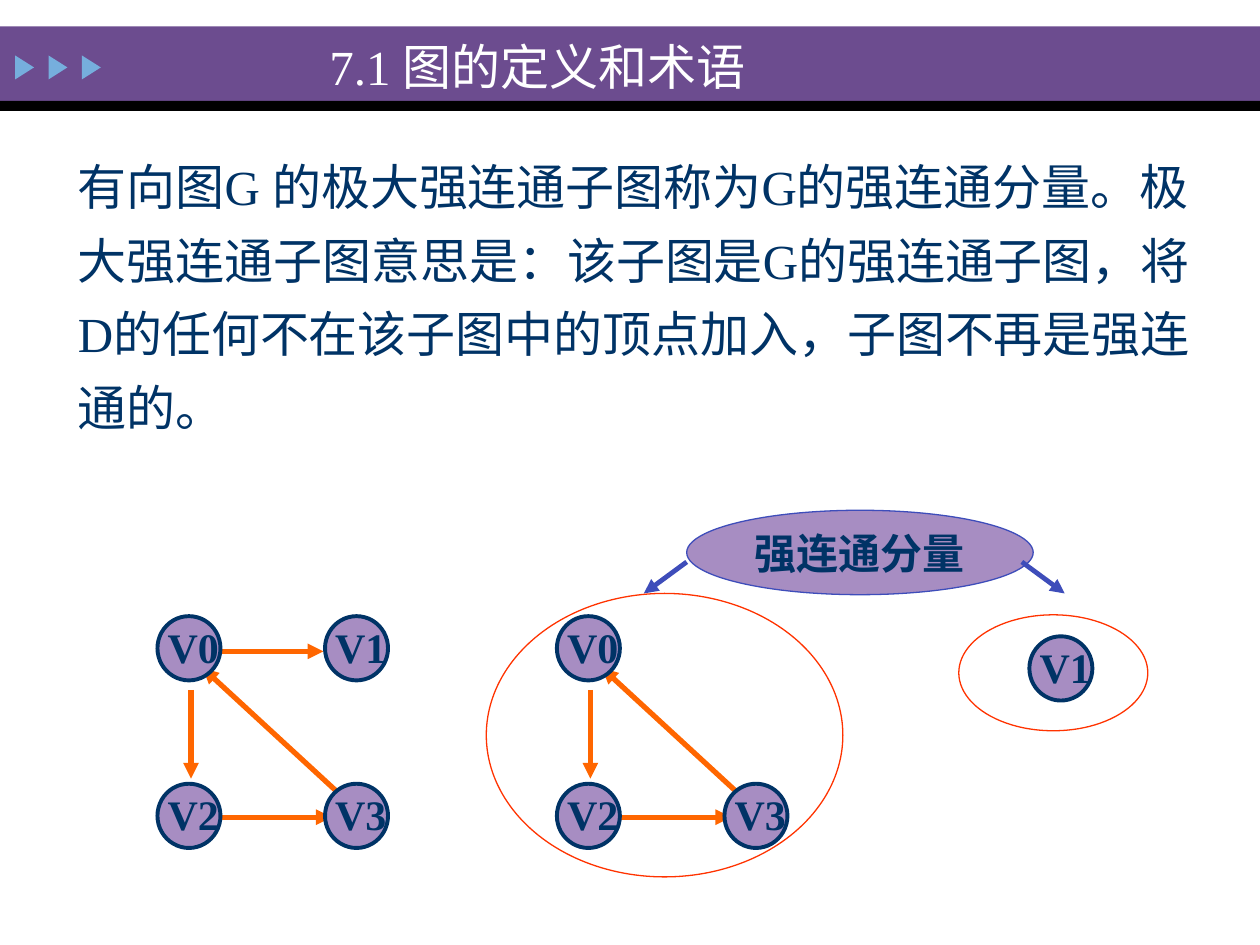
"""Builds a slide on strongly connected components of a directed graph."""
from dataclasses import dataclass
from typing import NamedTuple, Optional

from lxml import etree
from pptx import Presentation
from pptx import util as u
from pptx.dml.color import RGBColor
from pptx.enum import shapes, text
from pptx.oxml.ns import qn


@dataclass(frozen=True)
class Theme:
    font: str = "Times New Roman"
    band: str = "6C4C8F"
    rule: str = "000000"
    marker: str = "76AEDD"
    ink: str = "003366"
    paper: str = "FFFFFF"
    lilac: str = "A78DC2"
    pointer: str = "3E4DBA"
    edge: str = "FF6600"
    ring: str = "FF3300"
    large: int = 28
    label: int = 24


class Box(NamedTuple):
    col: float
    row: float
    cols: float
    rows: float


class Edge(NamedTuple):
    x1: float
    y1: float
    x2: float
    y2: float


class Stroke(NamedTuple):
    color: str
    width: float


@dataclass(frozen=True)
class Graph:
    col: float
    row: float
    nodes: tuple
    edges: tuple = ()
    ring: Optional[Box] = None


T = Theme()
COLS, ROWS, PITCH = 100, 75, 13.3
NODES = {"V0": (0, 0), "V1": (1, 0), "V2": (0, 1), "V3": (1, 1)}
EDGES = {
    "V0V2": Edge(0.2, 0.44, 0.2, 0.97),
    "V2V3": Edge(0.38, 1.2, 1.04, 1.2),
    "V0V1": Edge(0.38, 0.21, 0.99, 0.21),
    "V3V0": Edge(1.15, 1.12, 0.27, 0.31),
}
GRAPHS = (
    Graph(12.5, 48.9, tuple(NODES), tuple(EDGES)),
    Graph(44.2, 48.9, ("V0", "V2", "V3"), ("V0V2", "V2V3", "V3V0"),
          Box(38.6, 47.1, 28.3, 22.5)),
    Graph(81.7 - PITCH, 50.5, ("V1",), ring=Box(76.1, 48.8, 15, 9.2)),
)
BODY = ("有向图G 的极大强连通子图称为G的强连通分量。"
        "极大强连通子图意思是：该子图是G的强连通子图，"
        "将D的任何不在该子图中的顶点加入，子图不再是强连通的。")

prs = Presentation()
prs.slide_width, prs.slide_height = u.Inches(10), u.Inches(7.5)
s = prs.slides.add_slide(prs.slide_layouts[6])


def x(cols: float) -> int:
    return round(prs.slide_width * cols / COLS)


def y(rows: float) -> int:
    return round(prs.slide_height * rows / ROWS)


def place(box: Box) -> tuple:
    return x(box.col), y(box.row), x(box.cols), y(box.rows)


def set_line(line, stroke: Stroke) -> None:
    line.color.rgb = RGBColor.from_string(stroke.color)
    line.width = u.Pt(stroke.width)


def draw_shape(kind, box: Box, fill: Optional[str] = None,
               stroke: Optional[Stroke] = None):
    sp = s.shapes.add_shape(kind, *place(box))
    sp.shadow.inherit = False
    if fill:
        sp.fill.solid()
        sp.fill.fore_color.rgb = RGBColor.from_string(fill)
    else:
        sp.fill.background()
    if stroke:
        set_line(sp.line, stroke)
    else:
        sp.line.fill.background()
    return sp


def draw_arrow(edge: Edge, stroke: Stroke) -> None:
    c = s.shapes.add_connector(shapes.MSO_CONNECTOR.STRAIGHT, x(edge.x1),
                               y(edge.y1), x(edge.x2), y(edge.y2))
    set_line(c.line, stroke)
    etree.SubElement(c.line._get_or_add_ln(), qn("a:tailEnd"), type="triangle")
    etree.SubElement(c._element.spPr, qn("a:effectLst"))


def write(sp, words: str, size: int, color: str = T.ink, bold: bool = False,
          frame: Optional[dict] = None, para: Optional[dict] = None) -> None:
    tf = sp.text_frame
    p = tf.paragraphs[0]
    r = p.add_run()
    r.text = words
    r.font.color.rgb = RGBColor.from_string(color)
    formats = (
        (tf, {"word_wrap": True, **(frame or {})}),
        (p, para or {}),
        (r.font, {"name": T.font, "size": u.Pt(size), "bold": bold}),
    )
    for target, values in formats:
        for name, value in values.items():
            setattr(target, name, value)


def draw_node(name: str, col: float, row: float) -> None:
    draw_shape(shapes.MSO_SHAPE.OVAL, Box(col, row, 5, 5.1), T.lilac,
               Stroke(T.ink, 2.25))
    sp = s.shapes.add_textbox(*place(Box(col - 0.5, row - 0.1, 7.1, 5)))
    write(sp, name, T.label, bold=True, frame={"margin_left": u.Inches(0.13)})


def draw_graph(g: Graph) -> None:
    for key in g.edges:
        e = EDGES[key]
        draw_arrow(Edge(g.col + e.x1 * PITCH, g.row + e.y1 * PITCH,
                        g.col + e.x2 * PITCH, g.row + e.y2 * PITCH),
                   Stroke(T.edge, 3))
    for name in g.nodes:
        i, j = NODES[name]
        draw_node(name, g.col + i * PITCH, g.row + j * PITCH)
    if g.ring:
        draw_shape(shapes.MSO_SHAPE.OVAL, g.ring, stroke=Stroke(T.ring, 0.75))


def main() -> None:
    draw_shape(shapes.MSO_SHAPE.RECTANGLE, Box(0, 2.1, COLS, 5.9), T.band)
    draw_shape(shapes.MSO_SHAPE.RECTANGLE, Box(0, 8, COLS, 0.8), T.rule)
    for i in range(3):
        sp = draw_shape(shapes.MSO_SHAPE.ISOSCELES_TRIANGLE,
                        Box(1 + 2.65 * i, 4.6, 1.9, 1.5), T.marker)
        sp.rotation = 90

    write(s.shapes.add_textbox(*place(Box(5.2, 10.8, 92.1, 24.6))), BODY, T.large,
          frame={"auto_size": text.MSO_AUTO_SIZE.SHAPE_TO_FIT_TEXT},
          para={"line_spacing": 1.25})

    callout = draw_shape(shapes.MSO_SHAPE.OVAL, Box(54.5, 40.5, 27.5, 6.7),
                         T.lilac, Stroke(T.pointer, 0.75))
    centred = {"alignment": text.PP_ALIGN.CENTER}
    middle = {"vertical_anchor": text.MSO_ANCHOR.MIDDLE}
    write(callout, "强连通分量", T.label, bold=True,
          frame={**middle, "word_wrap": False}, para=centred)
    for start, end in ((54.5, 51.1), (81.1, 84.5)):
        draw_arrow(Edge(start, 44.6, end, 47.1), Stroke(T.pointer, 2.75))

    for g in GRAPHS:
        draw_graph(g)

    write(s.shapes.add_textbox(*place(Box(9, 1.5, 67.3, 7.5))),
          "7.1 图的定义和术语", T.large, T.paper, frame=middle, para=centred)
    prs.save("out.pptx")


if __name__ == "__main__":
    main()
